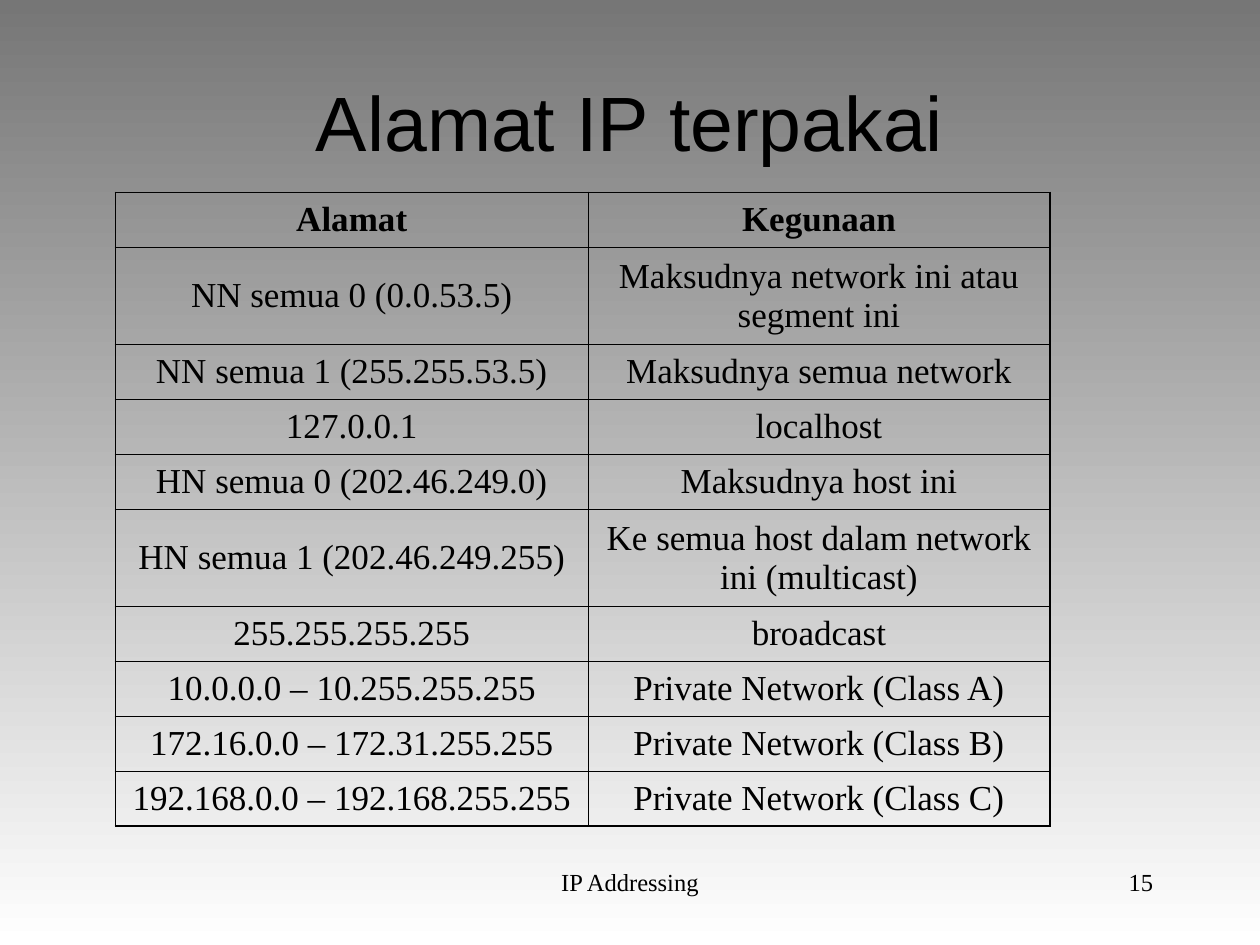
from dataclasses import dataclass

import pptx
import pptx.dml.color
import pptx.enum.text
import pptx.oxml.ns
import pptx.util
from lxml import etree

Pt = pptx.util.Pt
ALIGN = pptx.enum.text.PP_ALIGN
ANCHOR = pptx.enum.text.MSO_ANCHOR
COLORS = {"text": "000000", "border": "000000", "top": "767676", "bottom": "FFFFFF"}
SERIF = "Times New Roman"
OUTER, INNER = 1.08, 0.45
COL_WIDTHS = (270, 264)
SINGLE, DOUBLE = 31.43, 55.45


@dataclass
class AddressRow:
    address: str
    usage: str
    height: float = SINGLE


@dataclass
class FooterItem:
    text: str
    left: float
    width: float
    align: ALIGN


ROWS = [
    AddressRow("Alamat", "Kegunaan"),
    AddressRow("NN semua 0 (0.0.53.5)", "Maksudnya network ini atau segment ini", DOUBLE),
    AddressRow("NN semua 1 (255.255.53.5)", "Maksudnya semua network"),
    AddressRow("127.0.0.1", "localhost"),
    AddressRow("HN semua 0 (202.46.249.0)", "Maksudnya host ini"),
    AddressRow("HN semua 1 (202.46.249.255)", "Ke semua host dalam network ini (multicast)", DOUBLE),
    AddressRow("255.255.255.255", "broadcast"),
    AddressRow("10.0.0.0 – 10.255.255.255", "Private Network (Class A)"),
    AddressRow("172.16.0.0 – 172.31.255.255", "Private Network (Class B)"),
    AddressRow("192.168.0.0 – 192.168.255.255", "Private Network (Class C)"),
]
FOOTER = [
    FooterItem("IP Addressing", 246, 228, ALIGN.CENTER),
    FooterItem("15", 516, 150, ALIGN.RIGHT),
]


def rgb(name: str) -> pptx.dml.color.RGBColor:
    return pptx.dml.color.RGBColor.from_string(COLORS[name])


def format_text(tf, size: float, font: str, align: ALIGN, bold: bool = False) -> None:
    for p in tf.paragraphs:
        p.alignment = align
        for r in p.runs:
            r.font.size = Pt(size)
            r.font.name = font
            r.font.bold = bold
            r.font.color.rgb = rgb("text")


def set_borders(cell, widths: dict[str, float]) -> None:
    """Add solid borders; they must precede the cell's fill element."""
    tc_pr = cell._tc.get_or_add_tcPr()
    qn = pptx.oxml.ns.qn
    for i, (side, width) in enumerate(widths.items()):
        ln = etree.Element(qn(f"a:ln{side}"), w=str(int(Pt(width))))
        fill = etree.SubElement(ln, qn("a:solidFill"))
        etree.SubElement(fill, qn("a:srgbClr"), val=COLORS["border"])
        tc_pr.insert(i, ln)


def add_background(s) -> None:
    fill = s.background.fill
    fill.gradient()
    fill.gradient_angle = 270
    for stop, name in zip(fill.gradient_stops, ("top", "bottom")):
        stop.color.rgb = rgb(name)


def add_title(s, text: str) -> None:
    sp = s.shapes.title
    sp.left, sp.top, sp.width, sp.height = Pt(54), Pt(48), Pt(612), Pt(90)
    tf = sp.text_frame
    tf.text = text
    tf.auto_size = pptx.enum.text.MSO_AUTO_SIZE.NONE
    tf.vertical_anchor = ANCHOR.MIDDLE
    tf.margin_bottom = Pt(52)  # lifts the line clear of the table
    format_text(tf, 44, "Arial", ALIGN.CENTER)


def add_address_table(s, rows: list[AddressRow]) -> None:
    frame = s.shapes.add_table(
        len(rows), len(COL_WIDTHS), Pt(66), Pt(110),
        Pt(sum(COL_WIDTHS)), Pt(sum(row.height for row in rows)))
    table = frame.table
    table.first_row = table.horz_banding = False
    for column, width in zip(table.columns, COL_WIDTHS):
        column.width = Pt(width)
    last_row, last_col = len(rows) - 1, len(COL_WIDTHS) - 1
    for i, row in enumerate(rows):
        table.rows[i].height = Pt(row.height)
        for j, text in enumerate((row.address, row.usage)):
            cell = table.cell(i, j)
            cell.fill.background()
            cell.vertical_anchor = ANCHOR.MIDDLE
            cell.text_frame.text = text
            cell.text_frame.paragraphs[0].space_before = Pt(5)
            format_text(cell.text_frame, 20, SERIF, ALIGN.CENTER, bold=i == 0)
            set_borders(cell, {
                "L": OUTER if j == 0 else INNER,
                "R": OUTER if j == last_col else INNER,
                "T": OUTER if i == 0 else INNER,
                "B": OUTER if i == last_row else INNER,
            })


def add_footer_item(s, item: FooterItem) -> None:
    sp = s.shapes.add_textbox(Pt(item.left), Pt(492), Pt(item.width), Pt(36))
    tf = sp.text_frame
    tf.word_wrap = True
    tf.text = item.text
    format_text(tf, 14, SERIF, item.align)


def main() -> None:
    prs = pptx.Presentation()
    prs.slide_width, prs.slide_height = Pt(720), Pt(540)
    s = prs.slides.add_slide(prs.slide_layouts[5])
    add_background(s)
    add_title(s, "Alamat IP terpakai")
    add_address_table(s, ROWS)
    for item in FOOTER:
        add_footer_item(s, item)
    prs.save("out.pptx")


if __name__ == "__main__":
    main()
